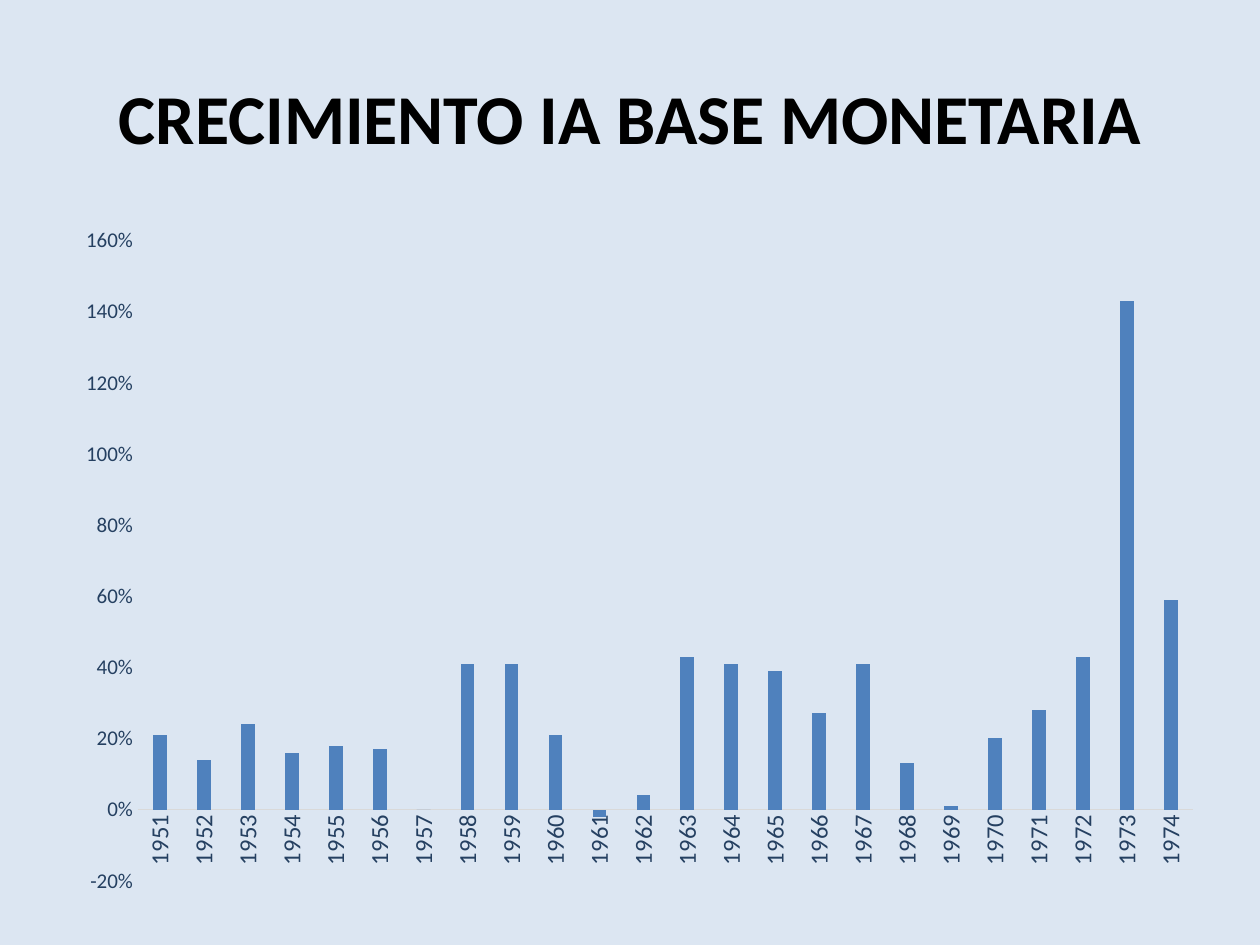
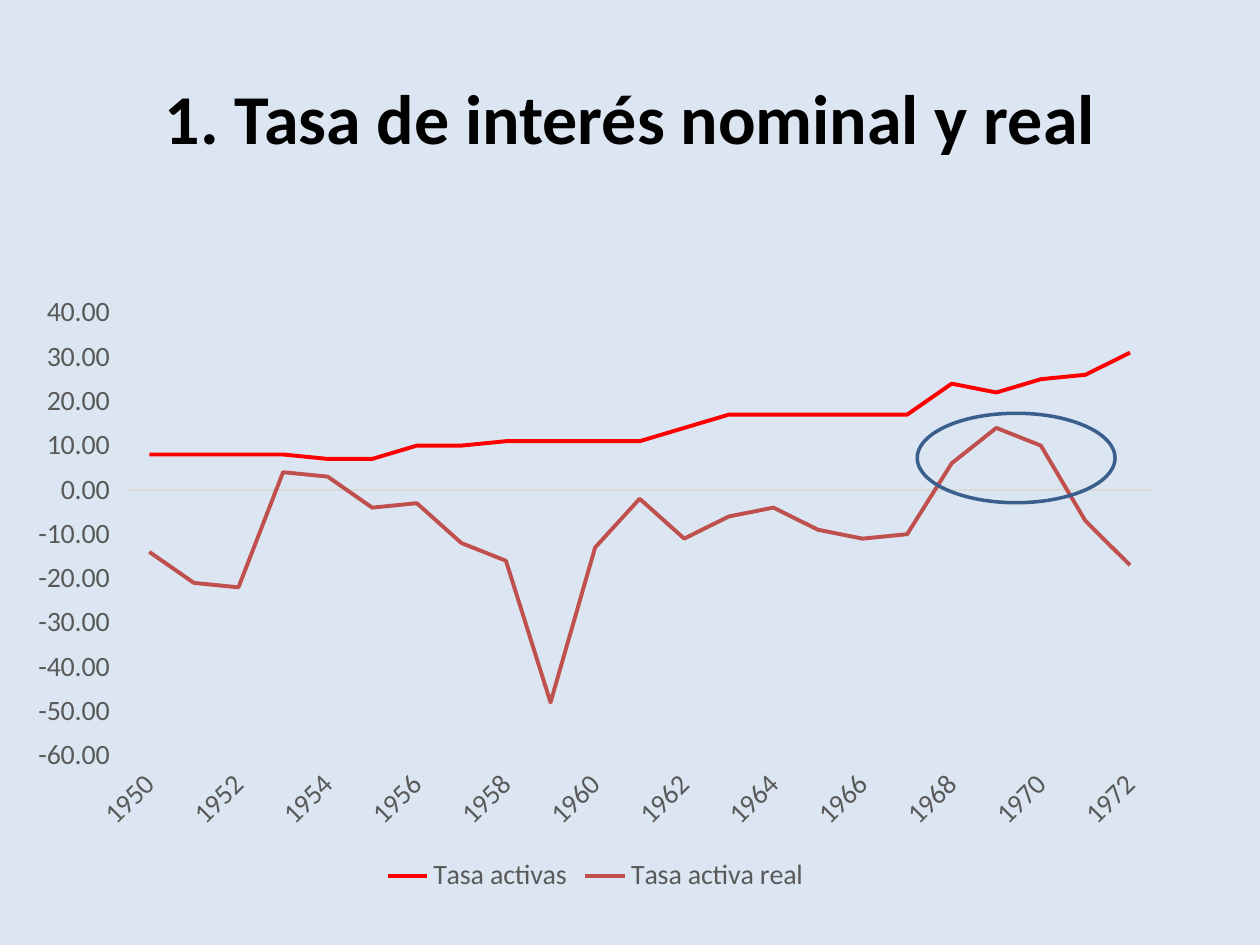
"""Build two slides on monetary base growth and on nominal and real interest rates."""
from lxml.etree import SubElement
from pptx import Presentation
from pptx.chart.data import CategoryChartData
from pptx.dml.color import RGBColor
from pptx.enum.chart import XL_CHART_TYPE as ChartType
from pptx.enum.chart import XL_LEGEND_POSITION as LegendPosition
from pptx.enum.chart import XL_TICK_LABEL_POSITION as LabelPosition
from pptx.enum.chart import XL_TICK_MARK as TickMark
from pptx.enum.shapes import MSO_SHAPE as Shape
from pptx.enum.text import MSO_ANCHOR as Anchor
from pptx.enum.text import PP_ALIGN as Align
from pptx.oxml.ns import qn
from pptx.util import Inches, Pt

FONT = "Calibri"
PALE_BLUE = RGBColor(0xDC, 0xE6, 0xF2)
BLACK = RGBColor(0x00, 0x00, 0x00)
NAVY = RGBColor(0x25, 0x40, 0x61)
GRAY = RGBColor(0x59, 0x59, 0x59)
LIGHT_GRAY = RGBColor(0xD9, 0xD9, 0xD9)
BLUE = RGBColor(0x4F, 0x81, 0xBD)
RED = RGBColor(0xFF, 0x00, 0x00)
BRICK = RGBColor(0xC0, 0x50, 0x4D)
STEEL = RGBColor(0x3A, 0x5F, 0x8C)

BASE_GROWTH = [0.21, 0.14, 0.24, 0.16, 0.18, 0.17, 0, 0.41, 0.41, 0.21, -0.02, 0.04,
               0.43, 0.41, 0.39, 0.27, 0.41, 0.13, 0.01, 0.2, 0.28, 0.43, 1.43, 0.59]
NOMINAL_RATE = [8, 8, 8, 8, 7, 7, 10, 10, 11, 11, 11, 11,
                14, 17, 17, 17, 17, 17, 24, 22, 25, 26, 31]
REAL_RATE = [-14, -21, -22, 4, 3, -4, -3, -12, -16, -48, -13, -2,
             -11, -6, -4, -9, -11, -10, 6, 14, 10, -7, -17]


def add_titled_page(title_text):
    page = deck.slides.add_slide(deck.slide_layouts[5])
    title = page.shapes.title
    title.left, title.top = Inches(0.5), Inches(0.3)
    title.width, title.height = Inches(9), Inches(1.25)
    title.text_frame.text = title_text
    title.text_frame.vertical_anchor = Anchor.MIDDLE
    para = title.text_frame.paragraphs[0]
    para.alignment = Align.CENTER
    para.font.name, para.font.size, para.font.bold = FONT, Pt(40), True
    para.font.color.rgb = BLACK
    return page


def add_year_chart(page, kind, bounds, first_year, series, scale, number_format,
                   color, year_size, value_size, year_angle):
    data = CategoryChartData()
    count = len(series[0][1])
    data.categories = [str(first_year + step) for step in range(count)]
    for name, values in series:
        data.add_series(name, values)
    chart = page.shapes.add_chart(kind, *map(Inches, bounds), data).chart
    chart.has_title = False
    chart.has_legend = False
    chart.font.name, chart.font.size = FONT, Pt(value_size)
    chart.font.color.rgb = color
    years, amounts = chart.category_axis, chart.value_axis
    for axis, size in ((years, year_size), (amounts, value_size)):
        axis.has_major_gridlines = False
        axis.major_tick_mark = axis.minor_tick_mark = TickMark.NONE
        font = axis.tick_labels.font
        font.name, font.size = FONT, Pt(size)
        font.color.rgb = color
    years.format.line.color.rgb = LIGHT_GRAY
    years.format.line.width = Pt(0.75)
    years._element.find(qn("c:txPr")).find(qn("a:bodyPr")).set("rot", str(year_angle * 60000))
    amounts.format.line.fill.background()
    amounts.minimum_scale, amounts.maximum_scale, amounts.major_unit = scale
    amounts.tick_labels.number_format = number_format
    amounts.tick_labels.number_format_is_linked = False
    return chart


deck = Presentation()
deck.slide_width, deck.slide_height = Inches(10), Inches(7.5)
background = deck.slide_master.background.fill
background.solid()
background.fore_color.rgb = PALE_BLUE

page = add_titled_page("CRECIMIENTO IA BASE MONETARIA")
chart = add_year_chart(page, ChartType.COLUMN_CLUSTERED, (0.5, 1.7, 9.15, 5.5), 1951,
                       [("Series 1", BASE_GROWTH)], (-0.2, 1.6, 0.2), "0%",
                       NAVY, 14, 12, -90)
plot = chart.plots[0]
plot.gap_width, plot.overlap = 219, -27
plot.vary_by_categories = False
columns = plot.series[0]
columns.invert_if_negative = False
columns.format.fill.solid()
columns.format.fill.fore_color.rgb = BLUE

page = add_titled_page("1. Tasa de interés nominal y real")
chart = add_year_chart(page, ChartType.LINE, (0.12, 2.25, 9.21, 4.88), 1950,
                       [("Tasa activas", NOMINAL_RATE), ("Tasa activa real", REAL_RATE)],
                       (-60, 40, 10), r"#,##0.00\ \ ", GRAY, 16, 16, -45)
chart.plots[0].vary_by_categories = False
for rate, color in zip(chart.plots[0].series, (RED, BRICK)):
    rate.smooth = False
    rate.format.line.color.rgb = color
    rate.format.line.width = Pt(2.25)
years = chart.category_axis
years.tick_label_position = LabelPosition.LOW
label_skip = SubElement(years._element, qn("c:tickLblSkip"), val="2")
years._element.find(qn("c:noMultiLvlLbl")).addprevious(label_skip)
chart.has_legend = True
chart.legend.position = LegendPosition.BOTTOM
chart.legend.include_in_layout = False
chart.legend.font.name, chart.legend.font.size = FONT, Pt(16)
chart.legend.font.color.rgb = GRAY

highlight = page.shapes.add_shape(Shape.OVAL, *map(Inches, (7.28, 3.28, 1.57, 0.71)))
highlight.shadow.inherit = False
highlight.fill.background()
highlight.line.color.rgb = STEEL
highlight.line.width = Pt(2)

deck.save("out.pptx")
